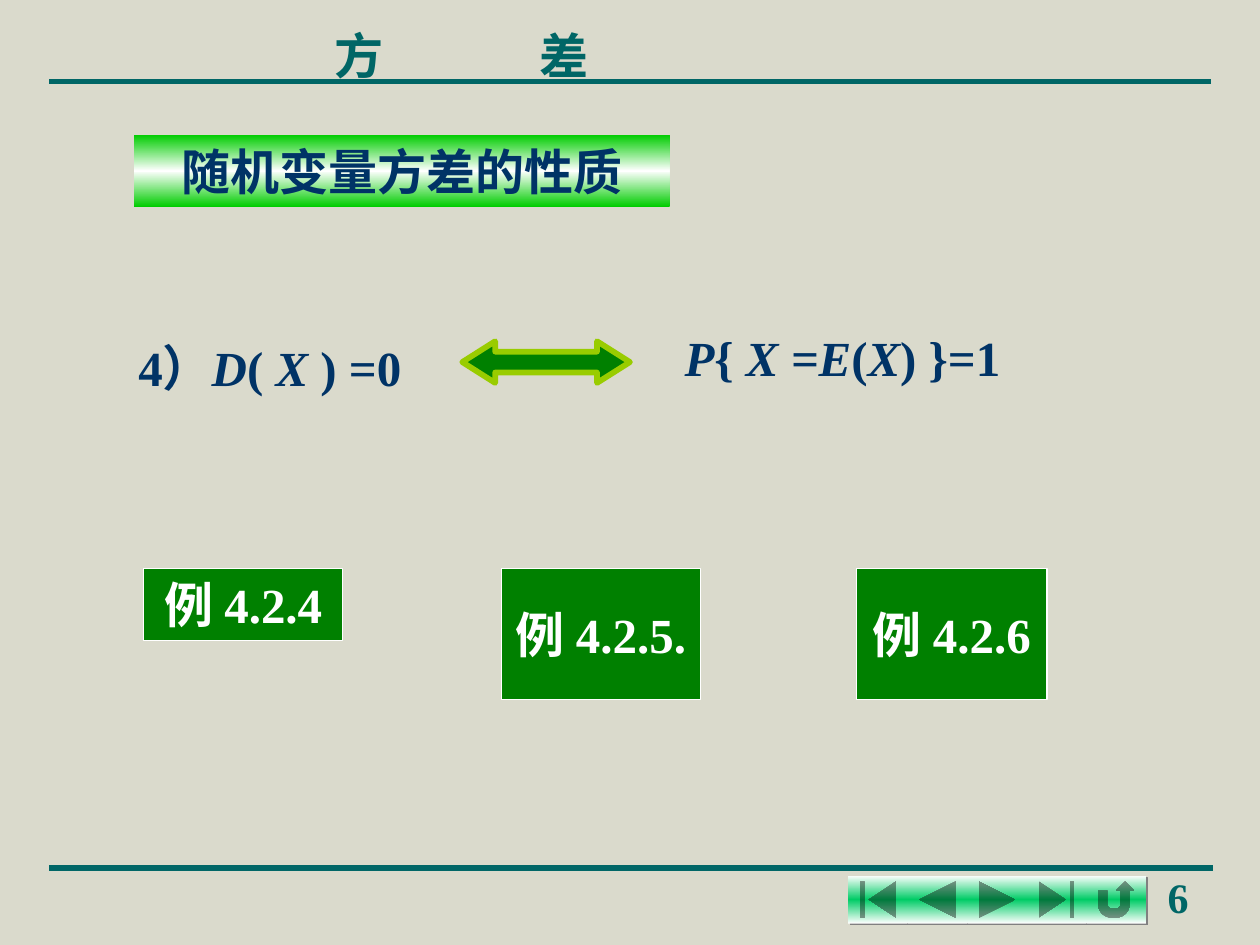
from copy import deepcopy

from lxml import etree
from pptx import Presentation
from pptx.dml.color import RGBColor
from pptx.enum.shapes import MSO_CONNECTOR, MSO_SHAPE
from pptx.enum.text import MSO_ANCHOR, PP_ALIGN
from pptx.oxml import parse_xml
from pptx.oxml.ns import qn
from pptx.util import Cm, Pt

RECTANGLE = MSO_SHAPE.RECTANGLE
DOUBLE_ARROW = MSO_SHAPE.LEFT_RIGHT_ARROW
BUTTONS = [MSO_SHAPE.ACTION_BUTTON_BEGINNING, MSO_SHAPE.ACTION_BUTTON_BACK_OR_PREVIOUS,
           MSO_SHAPE.ACTION_BUTTON_FORWARD_OR_NEXT, MSO_SHAPE.ACTION_BUTTON_END,
           MSO_SHAPE.ACTION_BUTTON_RETURN]
STRAIGHT = MSO_CONNECTOR.STRAIGHT
LEFT, CENTER = PP_ALIGN.LEFT, PP_ALIGN.CENTER
TOP, MIDDLE = MSO_ANCHOR.TOP, MSO_ANCHOR.MIDDLE
LATIN, CHINESE = "Times New Roman", "Noto Sans CJK SC"
TEAL, NAVY, GREEN, WHITE = "006666", "003366", "008000", "FFFFFF"
DRAWING = "http://schemas.openxmlformats.org/drawingml/2006/main"
color = RGBColor.from_string


def write(shape, pieces, text_color, size=28, align=LEFT, anchor=TOP, font_name=LATIN):
    """Fill a shape with one bold paragraph made of (text, italic) pieces."""
    frame = shape.text_frame
    frame.word_wrap = True
    frame.vertical_anchor = anchor
    paragraph = frame.paragraphs[0]
    paragraph.alignment = align
    for text, italic in pieces:
        run = paragraph.add_run()
        run.text = text
        run.font.name = font_name
        run.font.size = Pt(size)
        run.font.bold = True
        run.font.italic = italic
        run.font.color.rgb = color(text_color)
        east_asian = etree.SubElement(run.font._element, qn("a:ea"))
        east_asian.set("typeface", CHINESE)
    return paragraph


def fill_gradient(shape, edge, middle):
    """Vertical gradient: edge colour, middle colour, edge colour."""
    shape.fill.gradient()
    shape.fill.gradient_angle = 90
    stop_list = shape._element.xpath(".//a:gsLst")[0]
    stop_list.insert(1, deepcopy(stop_list[0]))
    for stop, position, stop_color in zip(shape.fill.gradient_stops, (0, 0.5, 1),
                                          (edge, middle, edge)):
        stop.position = position
        stop.color.rgb = color(stop_color)


presentation = Presentation()
presentation.slide_width, presentation.slide_height = Cm(25.4), Cm(19.05)
slide = presentation.slides.add_slide(presentation.slide_layouts[6])
slide.background.fill.solid()
slide.background.fill.fore_color.rgb = color("DADACC")
shapes = slide.shapes

# Header and footer rules
for y, right in ((1.65, 24.41), (17.5, 24.46)):
    rule = shapes.add_connector(STRAIGHT, Cm(0.99), Cm(y), Cm(right), Cm(y))
    rule.line.color.rgb = color(TEAL)
    rule.line.width = Pt(3)
    etree.SubElement(rule._element.spPr, qn("a:effectLst"))

# Navigation buttons
button_width = 1.2
for index, kind in enumerate(BUTTONS):
    button = shapes.add_shape(kind, Cm(17.1 + index * button_width), Cm(17.65),
                              Cm(button_width), Cm(0.97))
    fill_gradient(button, WHITE, "00CC66")
    button.line.fill.background()
    button._element.spPr.append(parse_xml(
        f'<a:effectLst xmlns:a="{DRAWING}"><a:outerShdw dist="17780" dir="2700000">'
        '<a:srgbClr val="808080"/></a:outerShdw></a:effectLst>'))

# Page number
page_number = shapes.add_textbox(Cm(23.29), Cm(17.45), Cm(2), Cm(1.27))
write(page_number, [("6", False)], TEAL, size=24)

# Title, its two characters set apart by a tab stop
title = shapes.add_textbox(Cm(2.9), Cm(0.15), Cm(17.15), Cm(1.57))
title.text_frame.margin_left = Cm(3.84)
title.text_frame.margin_bottom = Cm(0.03)
paragraph = title.text_frame.paragraphs[0]
tab_list = etree.SubElement(paragraph._p.get_or_add_pPr(), qn("a:tabLst"))
etree.SubElement(tab_list, qn("a:tab"), pos=str(Cm(4.14)), algn="l")
write(title, [("方\t差", False)], TEAL).line_spacing = 1.2

# Section heading
heading = shapes.add_shape(RECTANGLE, Cm(2.7), Cm(2.72), Cm(10.8), Cm(1.45))
heading.shadow.inherit = False
fill_gradient(heading, "00CC00", WHITE)
heading.line.fill.background()
write(heading, [("随机变量方差的性质", False)], NAVY, align=CENTER, anchor=MIDDLE,
      font_name=CHINESE)

# Property 4 and its equivalent
condition = shapes.add_textbox(Cm(2.54), Cm(6.68), Cm(10.16), Cm(1.45))
write(condition, [("4）", False), ("D", True), ("( ", False), ("X ", True),
                  (") =0", False)], NAVY)
equivalent = shapes.add_textbox(Cm(13.55), Cm(6.48), Cm(10.16), Cm(1.45))
write(equivalent, [("P", True), ("{ ", False), ("X =E", True), ("(", False),
                   ("X", True), (") }=1", False)], NAVY)

arrow = shapes.add_shape(DOUBLE_ARROW, Cm(9.32), Cm(6.88), Cm(3.38), Cm(0.84))
arrow.shadow.inherit = False
arrow.adjustments[0], arrow.adjustments[1] = 0.5, 0.79
arrow.fill.solid()
arrow.fill.fore_color.rgb = color(GREEN)
arrow.line.color.rgb = color("99CC00")
arrow.line.width = Pt(3.25)

# Example boxes
for text, left, width, height in (("例 4.2.4", 2.9, 4.01, 1.45),
                                  ("例 4.2.5.", 10.11, 4.01, 2.64),
                                  ("例 4.2.6", 17.27, 3.84, 2.64)):
    example = shapes.add_shape(RECTANGLE, Cm(left), Cm(11.46), Cm(width), Cm(height))
    example.shadow.inherit = False
    example.fill.solid()
    example.fill.fore_color.rgb = color(GREEN)
    example.line.color.rgb = color(WHITE)
    example.line.width = Pt(0.75)
    write(example, [(text, False)], WHITE, align=CENTER, anchor=MIDDLE)

presentation.save("out.pptx")
